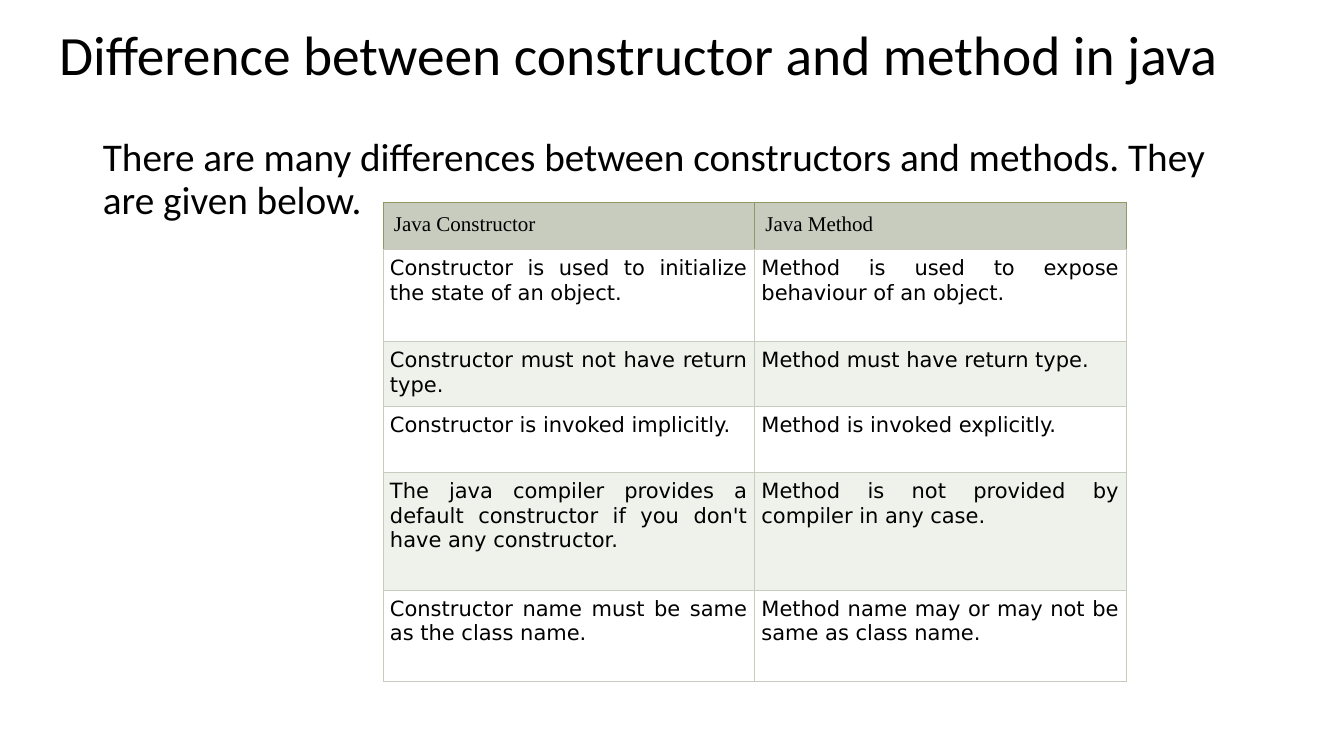
from lxml import etree
from pptx import Presentation
from pptx.dml.color import RGBColor
from pptx.enum.text import MSO_ANCHOR, MSO_AUTO_SIZE, PP_ALIGN
from pptx.oxml.ns import qn
from pptx.util import Emu, Pt

LEFT, JUSTIFY = PP_ALIGN.LEFT, PP_ALIGN.JUSTIFY
TOP, MIDDLE = MSO_ANCHOR.TOP, MSO_ANCHOR.MIDDLE
TITLE_ONLY = 5
SCALE = 914400 / 100.8
BLACK, WHITE, SAGE, PALE, OLIVE = "000000", "FFFFFF", "C7CCBE", "EFF1EB", "909963"


def px(n):
    return Emu(round(n * SCALE))


def set_text(tf, text, font, size, align=LEFT, spacing=None):
    tf.text = text
    p = tf.paragraphs[0]
    p.alignment = align
    p.line_spacing = spacing
    r = p.runs[0]
    r.font.name = font
    r.font.size = Pt(size)
    r.font.color.rgb = RGBColor.from_string(BLACK)


prs = Presentation()
prs.slide_width, prs.slide_height = px(1344), px(756)
s = prs.slides.add_slide(prs.slide_layouts[TITLE_ONLY])

# Title, raised by one line above the middle of its box
title = s.shapes.title
title.left, title.top, title.width, title.height = px(49), px(0), px(1203), px(176)
tf = title.text_frame
tf.auto_size = MSO_AUTO_SIZE.NONE
tf.word_wrap = True
tf.vertical_anchor = MIDDLE
tf.margin_bottom = px(66)
set_text(tf, "Difference between constructor and method in java", "Calibri", 39.6, spacing=0.9)

# Introduction
intro = s.shapes.add_textbox(px(93), px(133), px(1159), px(582))
tf = intro.text_frame
tf.word_wrap = True
tf.vertical_anchor = TOP
set_text(tf, "There are many differences between constructors and methods. "
         "They are given below.", "Calibri", 28, spacing=0.9)
tf.paragraphs[0].space_before = Pt(10)

# Comparison table
rows = [
    (47, "Java Constructor", "Java Method"),
    (92, "Constructor is used to initialize the state of an object.",
     "Method is used to expose behaviour of an object."),
    (65, "Constructor must not have return type.", "Method must have return type."),
    (66, "Constructor is invoked implicitly.", "Method is invoked explicitly."),
    (118, "The java compiler provides a default constructor if you don't have any constructor.",
     "Method is not provided by compiler in any case."),
    (91, "Constructor name must be same as the class name.",
     "Method name may or may not be same as class name."),
]
height = sum(row[0] for row in rows)
table = s.shapes.add_table(len(rows), 2, px(383), px(202), px(743), px(height)).table
for column in table.columns:
    column.width = px(371.5)

for i, (row_height, *texts) in enumerate(rows):
    table.rows[i].height = px(row_height)
    header = i == 0
    for j, text in enumerate(texts):
        cell = table.cell(i, j)
        inset = px(11 if header else 7)
        cell.margin_left = cell.margin_right = inset
        cell.margin_top = cell.margin_bottom = inset
        cell.vertical_anchor = TOP
        set_text(cell.text_frame, text, "Times New Roman" if header else "DejaVu Sans",
                 15, LEFT if header else JUSTIFY)

        # Borders come before the fill in the cell properties
        tcPr = cell._tc.get_or_add_tcPr()
        for side in ("lnL", "lnR", "lnT", "lnB"):
            ln = etree.SubElement(tcPr, qn("a:" + side), w=str(Pt(0.75)))
            line_fill = etree.SubElement(ln, qn("a:solidFill"))
            color = OLIVE if header and side != "lnB" else SAGE
            etree.SubElement(line_fill, qn("a:srgbClr"), val=color)
        cell.fill.solid()
        fill = SAGE if header else WHITE if i % 2 else PALE
        cell.fill.fore_color.rgb = RGBColor.from_string(fill)

prs.save("out.pptx")
